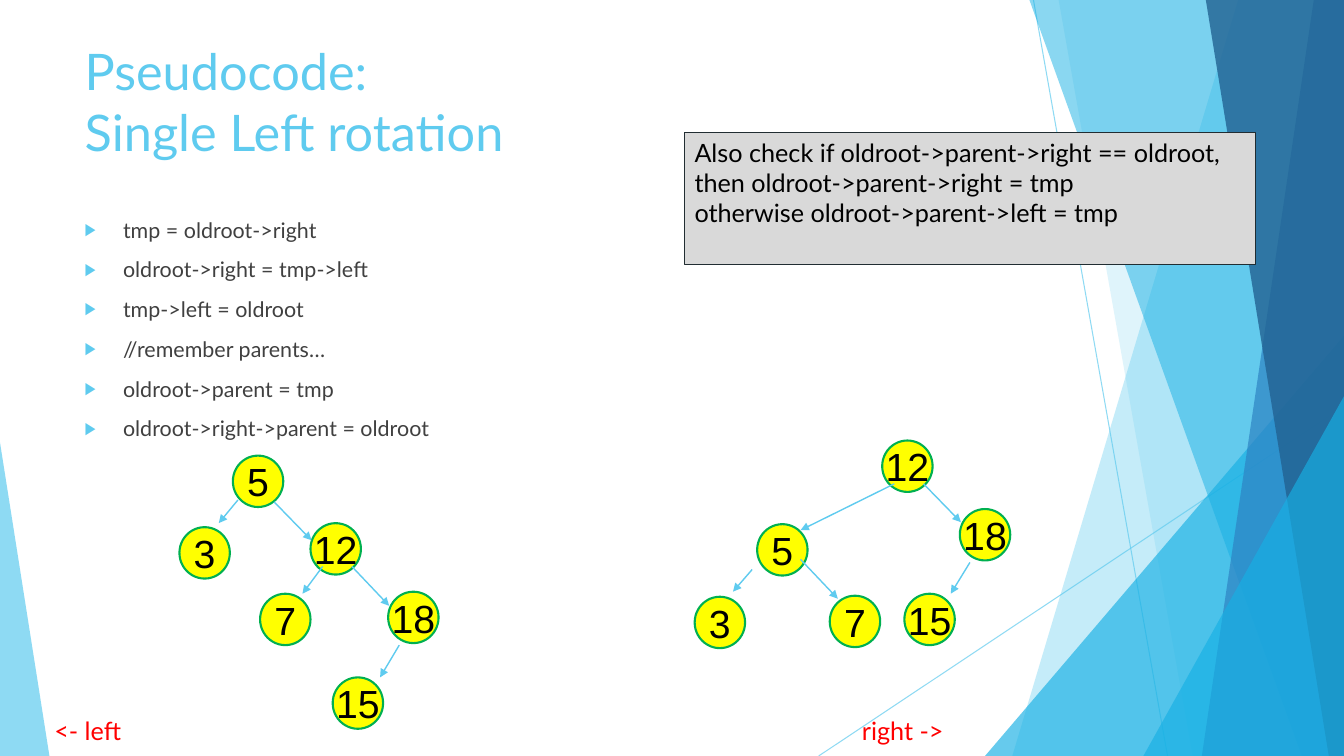
"""Slide on the single left rotation of a binary search tree, laid out on a fine grid."""
from lxml import etree
from pptx import Presentation
from pptx.dml.color import RGBColor
from pptx.enum.shapes import MSO_CONNECTOR, MSO_SHAPE
from pptx.enum.text import MSO_ANCHOR, MSO_AUTO_SIZE, PP_ALIGN
from pptx.oxml.ns import qn
from pptx.util import Inches, Pt

STRAIGHT = MSO_CONNECTOR.STRAIGHT
TRIANGLE, OVAL, RECTANGLE = MSO_SHAPE.ISOSCELES_TRIANGLE, MSO_SHAPE.OVAL, MSO_SHAPE.RECTANGLE
TOP, MIDDLE = MSO_ANCHOR.TOP, MSO_ANCHOR.MIDDLE
LEFT, CENTER = PP_ALIGN.LEFT, PP_ALIGN.CENTER
FIXED = MSO_AUTO_SIZE.NONE

COLS, ROWS = 133.3, 75
NODE_SIZE = (5, 5.1)
COLORS = {
    "sky": "5FCBEF", "cyan": "17B0E4", "blue": "2E83C3", "navy": "226292",
    "node": "FFFF00", "ring": "00B050", "callout": "D9D9D9", "frame": "212D32",
    "body": "404040", "black": "000000", "red": "FF0000",
}

STEPS = [
    "tmp = oldroot->right",
    "oldroot->right = tmp->left",
    "tmp->left = oldroot",
    "//remember parents…",
    "oldroot->parent = tmp",
    "oldroot->right->parent = oldroot",
]
PARENT_CHECK = [
    "Also check if oldroot->parent->right == oldroot,",
    "then oldroot->parent->right = tmp",
    "otherwise oldroot->parent->left = tmp",
]
BEFORE = {
    "nodes": {"5": (23.1, 45.2), "3": (17.8, 52.3), "12": (30.8, 51.9),
              "18": (38.5, 58.7), "7": (25.8, 58.9), "15": (33, 67.2)},
    "arrows": [((27.2, 49.8), (30.9, 53.6)), ((34.9, 56.2), (38.6, 60.1)),
               ((32, 56.2), (30, 58.9)), ((23.6, 49.6), (21.7, 51.9)),
               ((39.6, 64), (37.7, 67.2))],
}
AFTER = {
    "nodes": {"5": (75.1, 52), "3": (68.9, 59.2), "12": (87.5, 43.7),
              "18": (95.2, 50.5), "7": (82.3, 59.1), "15": (89.7, 58.9)},
    "arrows": [((79.4, 55.5), (83.1, 59.4)), ((91.6, 48), (95.3, 51.8)),
               ((88.7, 48), (79.4, 52.6)), ((74.6, 56.5), (72.7, 58.7)),
               ((96.2, 55.8), (94.3, 58.9))],
}


def grid(*counts):
    """Turn column or row counts into lengths."""
    return [Inches(count / 10) for count in counts]


def color(name):
    """Look up a named colour."""
    return RGBColor.from_string(COLORS[name])


def set_alpha(paint, percent):
    """Make a solid fill or a line's fill partly transparent."""
    tint = paint._xPr.find(qn("a:solidFill"))[0]
    etree.SubElement(tint, qn("a:alpha"), val=str(percent * 1000))


def add_bullet(paragraph):
    """Give a paragraph a hanging triangle bullet."""
    properties = paragraph._p.get_or_add_pPr()
    properties.set("marL", str(Inches(0.38)))
    properties.set("indent", str(-Inches(0.38)))
    tint = etree.SubElement(properties, qn("a:buClr"))
    etree.SubElement(tint, qn("a:srgbClr"), val=COLORS["sky"])
    etree.SubElement(properties, qn("a:buSzPct"), val="80000")
    etree.SubElement(properties, qn("a:buFont"), typeface="Arial")
    etree.SubElement(properties, qn("a:buChar"), char="▶")


def add_tab_stop(paragraph, columns):
    """Set one left tab stop on a paragraph."""
    stops = etree.SubElement(paragraph._p.get_or_add_pPr(), qn("a:tabLst"))
    etree.SubElement(stops, qn("a:tab"), pos=str(grid(columns)[0]), algn="l")


def write(frame, lines, size, tint, font="Lato", align=LEFT, anchor=TOP,
          wrap=True, gap=0, bullets=False, tab=None, margins=None):
    """Fill a text frame with formatted paragraphs."""
    frame.auto_size, frame.word_wrap, frame.vertical_anchor = FIXED, wrap, anchor
    if margins is not None:
        frame.margin_left = frame.margin_right = margins
        frame.margin_top = frame.margin_bottom = margins
    for index, line in enumerate(lines):
        paragraph = frame.add_paragraph() if index else frame.paragraphs[0]
        paragraph.text = line
        paragraph.alignment = align
        paragraph.space_before = Pt(gap if index else 0)
        if bullets:
            add_bullet(paragraph)
        if tab:
            add_tab_stop(paragraph, tab)
        for line_break in paragraph._p.findall(qn("a:br")):
            etree.SubElement(line_break, qn("a:rPr"), sz=str(size * 100))
        for run in paragraph.runs:
            run.font.name, run.font.size = font, Pt(size)
            run.font.color.rgb = color(tint)


def paint_shape(shape, fill, alpha=None, line=None, width=0):
    """Apply fill and outline to a shape."""
    shape.shadow.inherit = False
    shape.fill.solid()
    shape.fill.fore_color.rgb = color(fill)
    if alpha:
        set_alpha(shape.fill, alpha)
    if line:
        shape.line.color.rgb = color(line)
        shape.line.width = Pt(width)
    else:
        shape.line.fill.background()


def add_line(slide, start, end, width, alpha=None, arrow=False):
    """Draw a straight sky-blue line, with an optional arrowhead."""
    line = slide.shapes.add_connector(STRAIGHT, *grid(*start, *end))
    line.line.color.rgb = color("sky")
    line.line.width = Pt(width)
    stroke = line.line._get_or_add_ln()
    if alpha:
        set_alpha(line.line.fill, alpha)
    if arrow:
        etree.SubElement(stroke, qn("a:tailEnd"), type="triangle")
    etree.SubElement(line._element.spPr, qn("a:effectLst"))


def add_ribbon(slide, top, bottom, fill, alpha):
    """Draw a full-height band from a slanted edge to the right side."""
    corners = [(top, 0), (COLS, 0), (COLS, ROWS), (bottom, ROWS)]
    points = [grid(*corner) for corner in corners]
    builder = slide.shapes.build_freeform(*points[0])
    builder.add_line_segments(points[1:], close=True)
    paint_shape(builder.convert_to_shape(), fill, alpha)


def add_wedge(slide, left, top, right, apex, fill, alpha):
    """Draw a right-angled triangle that stands on the bottom edge."""
    box = grid(left, top, right - left, ROWS - top)
    wedge = slide.shapes.add_shape(TRIANGLE, *box)
    wedge.adjustments[0] = apex
    paint_shape(wedge, fill, alpha)


def add_backdrop(slide):
    """Draw the slanted bands at both sides."""
    add_line(slide, (102.5, 0), (115.8, ROWS), 0.75, alpha=70)
    add_line(slide, (COLS, 40.3), (81.2, ROWS), 0.75, alpha=70)
    add_ribbon(slide, 122.8, 100.4, "sky", 36)
    add_ribbon(slide, 105, 118.3, "sky", 20)
    add_wedge(slide, 97.7, 33.3, COLS, 1, "cyan", 66)
    add_ribbon(slide, 102.1, 129.1, "cyan", 50)
    add_ribbon(slide, 130.3, 119.2, "blue", 70)
    add_ribbon(slide, 119.6, 131.8, "navy", 80)
    add_wedge(slide, 113.4, 39.3, COLS, 1, "cyan", 66)
    add_wedge(slide, 0, 43.9, 4.9, 0, "sky", 70)


def place(slide, placeholder, *box):
    """Move a placeholder to a grid box, in front of the backdrop."""
    placeholder.left, placeholder.top, placeholder.width, placeholder.height = grid(*box)
    slide.shapes._spTree.append(placeholder._element)
    return placeholder.text_frame


def add_tree(slide, tree):
    """Draw the nodes of a tree and the arrows between them."""
    for key, corner in tree["nodes"].items():
        node = slide.shapes.add_shape(OVAL, *grid(*corner, *NODE_SIZE))
        paint_shape(node, "node", line="ring", width=1.5)
        write(node.text_frame, [key], 28, "black", font="Arial", align=CENTER,
              anchor=MIDDLE, wrap=False, margins=0)
    for start, end in tree["arrows"]:
        add_line(slide, start, end, 1, arrow=True)


def main():
    """Build and save the slide."""
    deck = Presentation()
    deck.slide_width, deck.slide_height = grid(COLS, ROWS)
    slide = deck.slides.add_slide(deck.slide_layouts[1])
    title, steps = slide.placeholders
    add_backdrop(slide)
    write(place(slide, title, 7.4, 3.5, 94, 14.4),
          ["Pseudocode:\vSingle Left rotation"], 36, "sky")
    write(place(slide, steps, 7.4, 21, 94, 21), STEPS, 15.3, "body", gap=10, bullets=True)
    add_tree(slide, BEFORE)
    add_tree(slide, AFTER)
    directions = slide.shapes.add_textbox(*grid(4.4, 70.5, 117.4, 4))
    write(directions.text_frame, ["<- left\tright ->"], 18, "red", anchor=MIDDLE, tab=80.1)
    callout = slide.shapes.add_shape(RECTANGLE, *grid(67.9, 13.1, 56.6, 13.1))
    paint_shape(callout, "callout", line="frame", width=0.75)
    write(callout.text_frame, PARENT_CHECK, 18, "black", wrap=False)
    deck.save("out.pptx")


if __name__ == "__main__":
    main()
